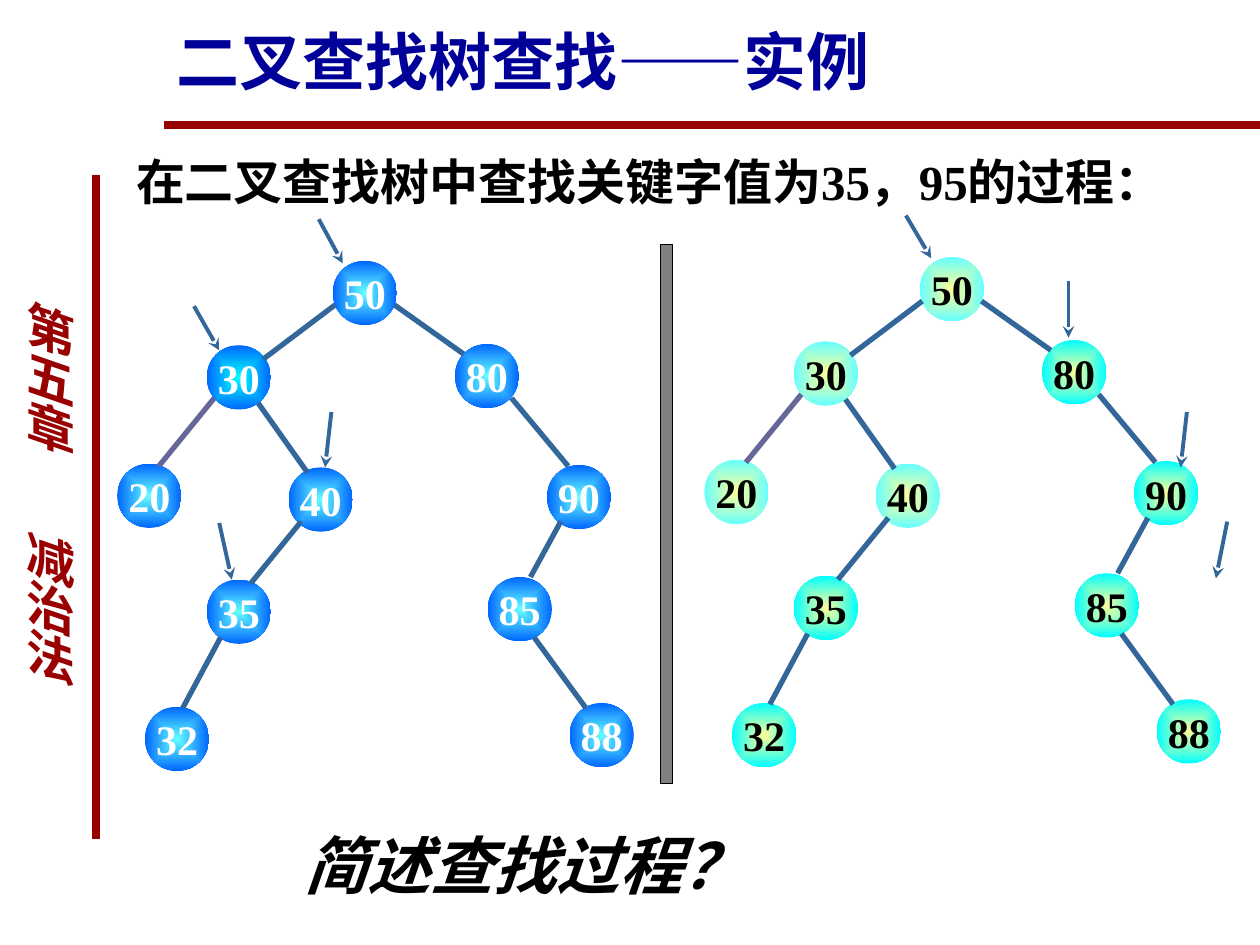
"""Build a slide that traces two searches through a binary search tree."""
from dataclasses import dataclass

from lxml.etree import SubElement
from pptx import Presentation
from pptx.dml.color import RGBColor
from pptx.enum.shapes import MSO_CONNECTOR, MSO_SHAPE
from pptx.enum.text import MSO_ANCHOR, MSO_AUTO_SIZE, PP_ALIGN
from pptx.oxml import parse_xml
from pptx.oxml.ns import nsdecls, qn
from pptx.util import Inches, Pt


@dataclass(frozen=True)
class Theme:
    heading_font: str = "Arial"
    body_font: str = "Times New Roman"
    heading_size: int = 36
    body_size: int = 28
    key_size: int = 24
    title: str = "000099"
    rule: str = "990000"
    ink: str = "000000"
    paper: str = "FFFFFF"
    branch: str = "336699"
    pale_branch: str = "666699"
    divider: str = "808080"
    shadow: str = "C0C0C0"
    rule_width: float = 4.5
    branch_width: float = 3
    pointer_width: float = 2.25


THEME = Theme()
TITLE = "二叉查找树查找——实例"
TASK = "在二叉查找树中查找关键字值为35，95的过程："
QUESTION = "简述查找过程？"
CHAPTER = "第五章\t减治法"
RULES = [(1.3, 0.99, 10, 0.99), (0.76, 1.39, 0.76, 6.66)]

NODE_SIZE = 0.51
NODES = {
    50: (2.64, 2.07), 30: (1.64, 2.74), 20: (0.93, 3.68), 80: (3.61, 2.73),
    90: (4.34, 3.69), 85: (3.87, 4.58), 88: (4.52, 5.58), 40: (2.29, 3.71),
    35: (1.64, 4.6), 32: (1.15, 5.61),
}
BRANCHES = {
    (50, 30): (2.66, 2.42, 2.09, 2.85), (30, 20): (1.7, 3.16, 1.26, 3.7),
    (50, 80): (3.13, 2.42, 3.68, 2.81), (30, 40): (2.05, 3.2, 2.44, 3.75),
    (40, 35): (2.39, 4.14, 1.99, 4.63), (80, 90): (4.06, 3.16, 4.51, 3.7),
    (90, 85): (4.45, 4.14, 4.21, 4.58), (85, 88): (4.24, 5.06, 4.65, 5.62),
    (35, 32): (1.75, 5.06, 1.45, 5.62),
}
SEARCHES = [
    {
        "offset": (0, 0), "text": THEME.paper,
        "gradient": ("66FFFF", "0066FF"),
        "accent": ("00FFFF", "0066FF"), "accented": {30},
        "pointers": [(2.53, 1.74, 2.72, 2.09), (1.54, 2.43, 1.74, 2.78),
                     (2.63, 3.27, 2.58, 3.71), (1.74, 4.15, 1.84, 4.6)],
    },
    {
        "offset": (4.66, -0.03), "text": THEME.ink,
        "gradient": ("FFFF99", "66FFFF"),
        "accent": ("FFFF99", "00FFFF"), "accented": {80, 90, 85, 88, 35, 32},
        "pointers": [(7.19, 1.71, 7.39, 2.05), (8.48, 2.23, 8.48, 2.68),
                     (9.42, 3.27, 9.37, 3.71), (9.74, 4.14, 9.65, 4.59)],
    },
]


def place(part, left, top, width, height):
    part.left, part.top = Inches(left), Inches(top)
    part.width, part.height = Inches(width), Inches(height)


def write(part, wording, font, size, color, italic=False, align=PP_ALIGN.LEFT,
          anchor=MSO_ANCHOR.TOP):
    frame = part.text_frame
    frame.word_wrap = True
    frame.auto_size = MSO_AUTO_SIZE.NONE
    frame.vertical_anchor = anchor
    paragraph = frame.paragraphs[0]
    paragraph.alignment = align
    paragraph.space_before = Pt(0)
    run = paragraph.add_run()
    run.text = wording
    run.font.name, run.font.size = font, Pt(size)
    run.font.bold, run.font.italic = True, italic
    run.font.color.rgb = RGBColor.from_string(color)
    return paragraph


def draw_line(ends, color, width, arrow=False):
    line = slide.shapes.add_connector(MSO_CONNECTOR.STRAIGHT, *map(Inches, ends))
    line.line.color.rgb = RGBColor.from_string(color)
    line.line.width = Pt(width)
    if arrow:
        SubElement(line.line._get_or_add_ln(), qn("a:tailEnd"), type="stealth")
    SubElement(line._element.spPr, qn("a:effectLst"))


def draw_node(key, left, top, gradient, color):
    node = slide.shapes.add_shape(MSO_SHAPE.OVAL, Inches(left), Inches(top),
                                  Inches(NODE_SIZE), Inches(NODE_SIZE))
    node.shadow.inherit = False
    node.line.fill.background()
    center, edge = gradient
    node._element.spPr.find(qn("a:prstGeom")).addnext(parse_xml(
        f'<a:gradFill {nsdecls("a")} rotWithShape="1"><a:gsLst>'
        f'<a:gs pos="0"><a:srgbClr val="{center}"/></a:gs>'
        f'<a:gs pos="100000"><a:srgbClr val="{edge}"/></a:gs></a:gsLst>'
        '<a:path path="rect"><a:fillToRect l="50000" t="50000" r="50000" b="50000"/>'
        '</a:path></a:gradFill>'))
    frame = node.text_frame
    frame.margin_left = frame.margin_right = frame.margin_top = frame.margin_bottom = 0
    write(node, str(key), THEME.body_font, THEME.key_size, color,
          align=PP_ALIGN.CENTER, anchor=MSO_ANCHOR.MIDDLE)
    frame.word_wrap = False


def draw_search(search):
    dx, dy = search["offset"]
    for key, (left, top) in NODES.items():
        gradient = search["accent" if key in search["accented"] else "gradient"]
        draw_node(key, left + dx, top + dy, gradient, search["text"])
    for (_, child), (x1, y1, x2, y2) in BRANCHES.items():
        color = THEME.pale_branch if child == 20 else THEME.branch
        draw_line((x1 + dx, y1 + dy, x2 + dx, y2 + dy), color, THEME.branch_width)
    for ends in search["pointers"]:
        draw_line(ends, THEME.branch, THEME.pointer_width, arrow=True)


def draw_chapter():
    chapter = slide.shapes.add_textbox(Inches(0.13), Inches(2.02), Inches(0.66), Inches(3.47))
    frame = chapter.text_frame
    frame.margin_left = frame.margin_right = Inches(0.05)
    frame.margin_top, frame.margin_bottom = Inches(0.34), 0
    paragraph = write(chapter, CHAPTER, THEME.heading_font, THEME.body_size,
                      THEME.rule, italic=True)
    frame._txBody.bodyPr.set("vert", "eaVert")
    stops = SubElement(paragraph._p.get_or_add_pPr(), qn("a:tabLst"))
    SubElement(stops, qn("a:tab"), pos=str(Inches(1.82)), algn="l")
    for run in paragraph.runs:
        run._r.rPr.find(qn("a:solidFill")).addnext(parse_xml(
            f'<a:effectLst {nsdecls("a")}><a:outerShdw dist="17961" dir="2700000">'
            f'<a:srgbClr val="{THEME.shadow}"/></a:outerShdw></a:effectLst>'))


deck = Presentation()
deck.slide_width, deck.slide_height = Inches(10), Inches(7.5)
slide = deck.slides.add_slide(deck.slide_layouts[1])
for rule in RULES:
    draw_line(rule, THEME.rule, THEME.rule_width)
draw_chapter()

title, task = slide.placeholders
place(title, 1.3, 0.13, 8.43, 0.7)
write(title, TITLE, THEME.heading_font, THEME.heading_size, THEME.title)
place(task, 0.98, 1.15, 8.66, 0.57)
task_properties = write(task, TASK, THEME.body_font, THEME.body_size,
                        THEME.ink)._p.get_or_add_pPr()
task_properties.set("marL", "0")
task_properties.set("indent", "0")
SubElement(task_properties, qn("a:buNone"))

for search in SEARCHES:
    draw_search(search)

divider = slide.shapes.add_shape(MSO_SHAPE.RECTANGLE, Inches(5.24), Inches(1.94),
                                 Inches(0.1), Inches(4.28))
divider.shadow.inherit = False
divider.fill.solid()
divider.fill.fore_color.rgb = RGBColor.from_string(THEME.divider)
divider.line.color.rgb = RGBColor.from_string(THEME.ink)
divider.line.width = Pt(0.75)

question = slide.shapes.add_textbox(Inches(2.32), Inches(6.51), Inches(4.57), Inches(0.7))
write(question, QUESTION, THEME.heading_font, THEME.heading_size, THEME.ink, italic=True)

deck.save("out.pptx")
